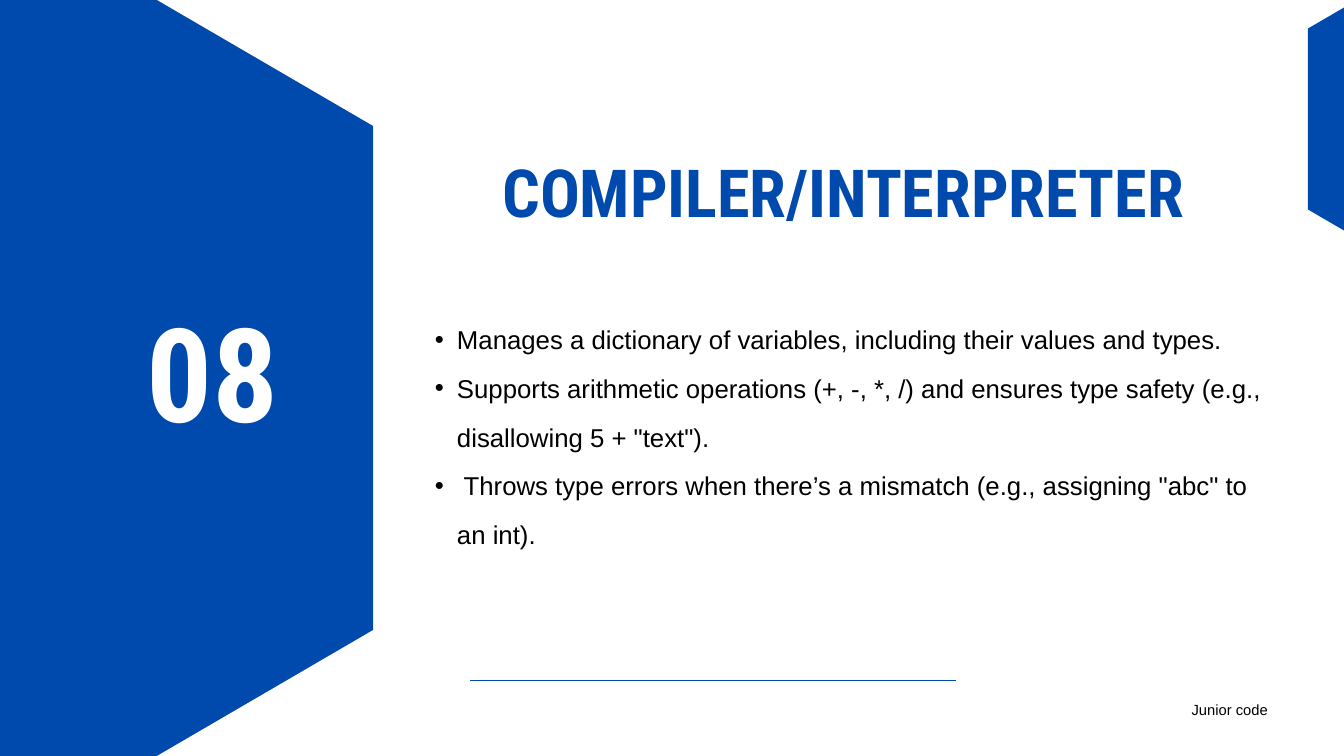
from dataclasses import dataclass
from typing import NamedTuple

from lxml.etree import SubElement
from pptx import Presentation
from pptx.dml.color import RGBColor
from pptx.enum.shapes import MSO_CONNECTOR
from pptx.enum.text import MSO_AUTO_SIZE, PP_ALIGN
from pptx.oxml.ns import qn
from pptx.util import Emu, Pt

EMU_PER_PX = 914400 / 67.2


class Box(NamedTuple):
    left: int
    top: int
    width: int
    height: int


@dataclass(frozen=True)
class TextStyle:
    font: str
    size: float
    leading: float
    color: RGBColor
    bold: bool = False
    align: PP_ALIGN = PP_ALIGN.LEFT


@dataclass(frozen=True)
class Theme:
    blue = RGBColor(0x00, 0x4A, 0xAD)
    white = RGBColor(0xFF, 0xFF, 0xFF)
    black = RGBColor(0x00, 0x00, 0x00)
    rule_width = 0.75
    title = TextStyle("Roboto Condensed", 71, 78.8, blue, True, PP_ALIGN.CENTER)
    number = TextStyle("Roboto Condensed", 140, 140, white, True)
    body = TextStyle("Arial", 27.6, 52.2, black)
    footer = TextStyle("Arial", 15.8, 22.1, black, align=PP_ALIGN.RIGHT)


THEME = Theme()

POINTS = (
    "Manages a dictionary of variables, including their values and types.",
    "Supports arithmetic operations (+, -, *, /) and ensures type safety "
    '(e.g., disallowing 5 + "text").',
    ' Throws type errors when there’s a mismatch (e.g., assigning "abc" to an int).',
)


def px(length):
    """Turn pixels into EMU."""
    return Emu(round(length * EMU_PER_PX))


def add_bullet(paragraph, margin=44, hang=22):
    """Give a paragraph a round bullet with a hanging indent."""
    properties = paragraph._p.get_or_add_pPr()
    properties.set("marL", str(px(margin)))
    properties.set("indent", str(-px(hang)))
    SubElement(properties, qn("a:buFont"), typeface="Arial")
    SubElement(properties, qn("a:buChar"), char="•")


def add_text(slide, box, lines, style, bulleted=False):
    """Place lines of text in one style inside a box without insets."""
    frame = slide.shapes.add_textbox(*map(px, box)).text_frame
    frame.word_wrap = True
    frame.auto_size = MSO_AUTO_SIZE.SHAPE_TO_FIT_TEXT
    frame.margin_left = frame.margin_right = 0
    frame.margin_top = frame.margin_bottom = 0
    for index, line in enumerate(lines):
        paragraph = frame.add_paragraph() if index else frame.paragraphs[0]
        if bulleted:
            paragraph.level = 1
            add_bullet(paragraph)
        paragraph.alignment = style.align
        paragraph.line_spacing = Pt(style.leading)
        run = paragraph.add_run()
        run.text = line
        run.font.name = style.font
        run.font.size = Pt(style.size)
        run.font.bold = style.bold
        run.font.color.rgb = style.color


def add_hexagon(slide, box):
    """Draw a blue hexagon standing on a corner and filling the box."""
    corners = ((1 / 2, 0), (1, 1 / 4), (1, 3 / 4), (1 / 2, 1), (0, 3 / 4), (0, 1 / 4))
    start, *others = [
        (px(box.left + x * box.width), px(box.top + y * box.height)) for x, y in corners
    ]
    builder = slide.shapes.build_freeform(*start)
    builder.add_line_segments(others, close=True)
    hexagon = builder.convert_to_shape()
    hexagon.shadow.inherit = False
    hexagon.fill.solid()
    hexagon.fill.fore_color.rgb = THEME.blue
    hexagon.line.fill.background()


def add_number_panel(slide, box, number):
    """Draw the large hexagon with the section number on it."""
    add_hexagon(slide, box)
    number_box = Box(box.left + 639, box.top + 444, 159, 138)
    add_text(slide, number_box, [number], THEME.number)


def add_content(slide, box, title, points):
    """Place the title with the bulleted points below it."""
    add_text(slide, Box(box.left, box.top, box.width, 75), [title], THEME.title)
    points_box = Box(box.left, box.top + 149, box.width - 10, 238)
    add_text(slide, points_box, points, THEME.body, bulleted=True)


def add_footer(slide, box, label):
    """Draw the rule and the label at the lower right of the box."""
    rule = slide.shapes.add_connector(
        MSO_CONNECTOR.STRAIGHT,
        px(box.left), px(box.top), px(box.left + 486), px(box.top),
    )
    rule.line.color.rgb = THEME.blue
    rule.line.width = Pt(THEME.rule_width)
    SubElement(rule._element.spPr, qn("a:effectLst"))
    label_width = 353
    label_left = box.left + box.width - label_width
    add_text(slide, Box(label_left, box.top + 18, label_width, 21), [label], THEME.footer)


def main():
    """Build the slide and save it."""
    deck = Presentation()
    deck.slide_width, deck.slide_height = px(1344), px(756)
    slide = deck.slides.add_slide(deck.slide_layouts[6])
    slide.background.fill.solid()
    slide.background.fill.fore_color.rgb = THEME.white
    add_number_panel(slide, Box(-492, -126, 865, 1008), "08")
    add_hexagon(slide, Box(1308, -62, 311, 362))
    add_content(slide, Box(413, 157, 861, 387), "COMPILER/INTERPRETER", POINTS)
    add_footer(slide, Box(470, 680, 798, 39), "Junior code")
    deck.save("out.pptx")


if __name__ == "__main__":
    main()
